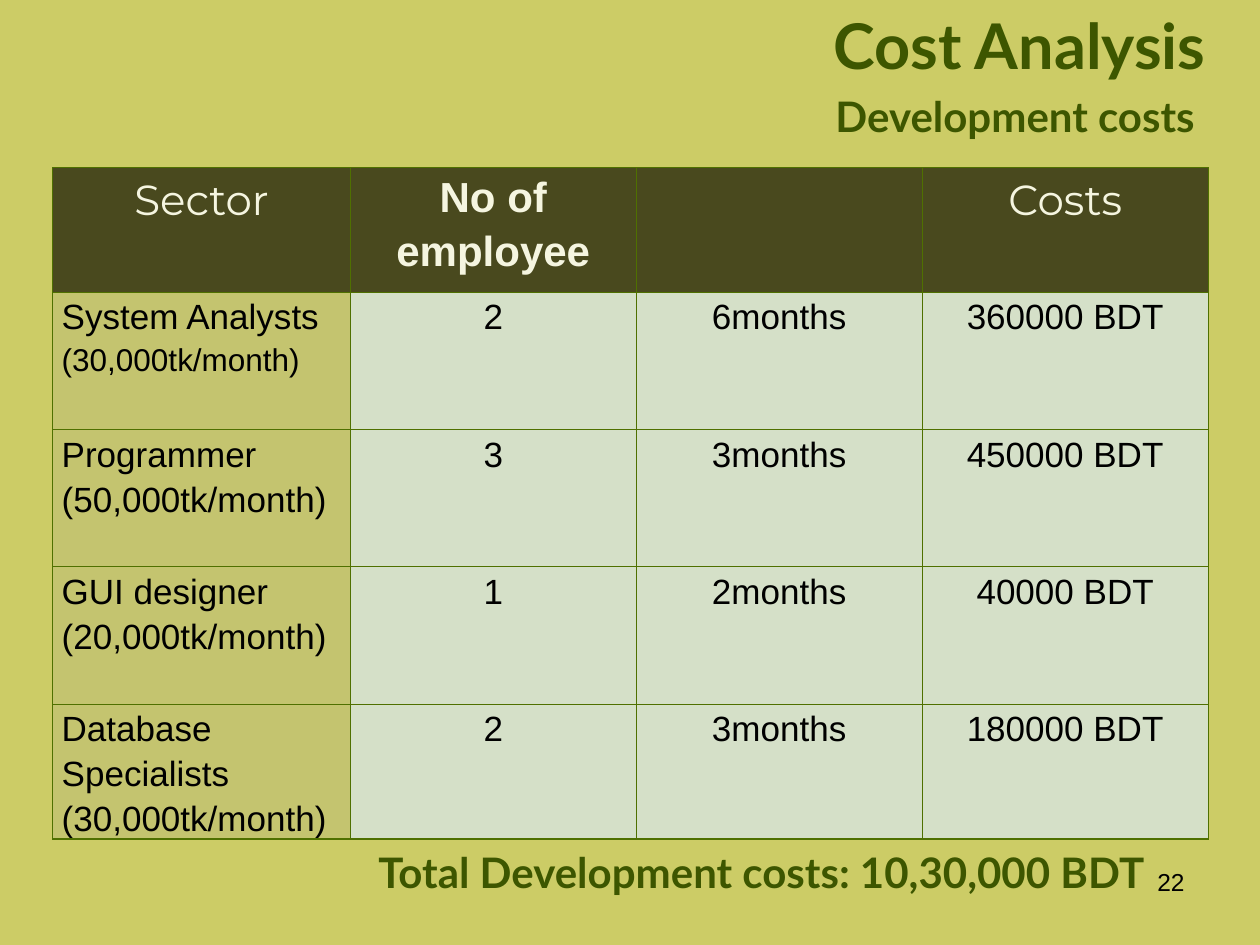
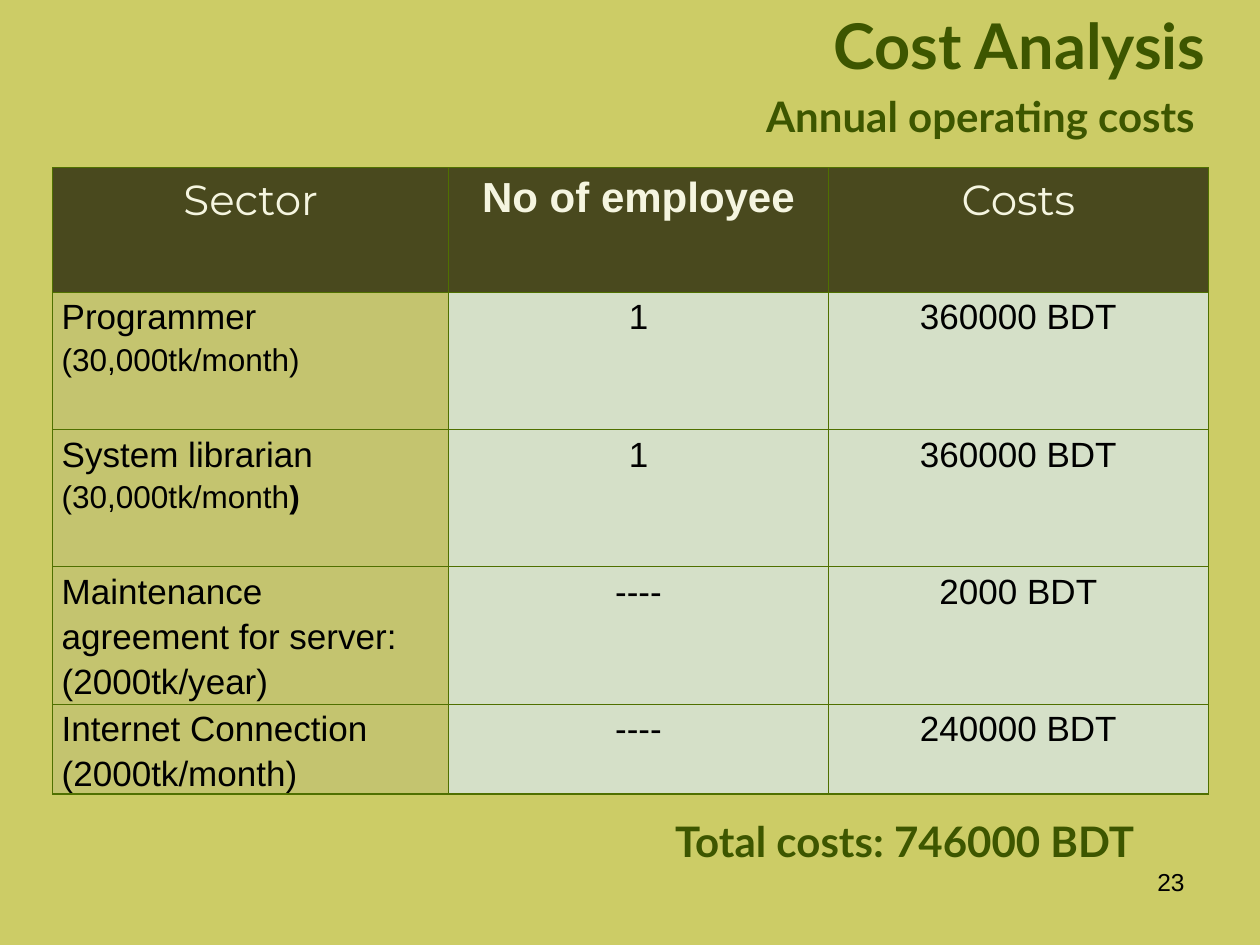
from pptx import Presentation
from pptx.dml.color import RGBColor as RGB
from pptx.enum.text import MSO_ANCHOR as ANCHOR, PP_ALIGN as AL
from pptx.oxml import parse_xml
from pptx.oxml.ns import nsdecls
from pptx.util import Inches, Pt

COLORS = {
    "background": "CCCC66",
    "heading": "3D5600",
    "header_fill": "49491E",
    "header_text": "F5F5E0",
    "sector_fill": "C4C46F",
    "value_fill": "D5E0C8",
    "border": "4F7000",
    "text": "000000",
}
HEADING = dict(size=24, font="Lato", color="heading", bold=True, align=AL.RIGHT)
CENTERED = dict(align=AL.CENTER, spacing=1.15)
TABLE_WIDTH = 9.17
ROW_HEIGHTS = [0.99, 1.09, 1.09, 1.09, 0.67]
HEADER_FONTS = {"No of employee": dict(font="Arial", bold=True)}

# Each row: sector, monthly or yearly rate, rate size, remaining columns
SLIDES = [
    dict(
        number="22",
        subtitle="Development costs",
        total="Total Development costs: 10,30,000 BDT ",
        total_box=(2.58, 6.67, 6.67, 0.5),
        sector_width=2.36,
        header=["Sector", "No of employee", "", "Costs"],
        rows=[
            ("System Analysts", "(30,000tk/month)", 18, ["2", "6months", "360000 BDT"]),
            ("Programmer", "(50,000tk/month)", 20, ["3", "3months", "450000 BDT"]),
            ("GUI designer", "(20,000tk/month)", 20, ["1", "2months", "40000 BDT"]),
            ("Database Specialists", "(30,000tk/month)", 20, ["2", "3months", "180000 BDT"]),
        ],
    ),
    dict(
        number="23",
        subtitle="Annual operating costs",
        total="Total costs: 746000 BDT ",
        total_box=(2.75, 6.42, 6.42, 0.5),
        sector_width=3.14,
        header=["Sector", "No of employee", "Costs"],
        rows=[
            ("Programmer", "(30,000tk/month)", 18, ["1", "360000 BDT"]),
            ("System librarian", "(30,000tk/month", 18, ["1", "360000 BDT"]),
            ("Maintenance agreement for server:", "(2000tk/year)", 20, ["----", "2000 BDT"]),
            ("Internet Connection", "(2000tk/month)", 20, ["----", "240000 BDT"]),
        ],
    ),
]


def add_run(p, text, size=20, font="Arial", color="text", bold=False,
            align=AL.LEFT, spacing=1.0):
    p.alignment, p.line_spacing = align, spacing
    r = p.add_run()
    r.text = text
    r.font.size, r.font.name, r.font.bold = Pt(size), font, bold
    r.font.color.rgb = RGB.from_string(COLORS[color])


def style_cell(cell, fill):
    """Set the margins, border lines and fill; lines must precede the fill."""
    cell.margin_left = cell.margin_right = Inches(0.07)
    cell.margin_top = cell.margin_bottom = 0
    tc_pr = cell._tc.get_or_add_tcPr()
    for side in "LRTB":
        tc_pr.append(parse_xml(
            f'<a:ln{side} {nsdecls("a")} w="{Pt(0.75)}"><a:solidFill>'
            f'<a:srgbClr val="{COLORS["border"]}"/></a:solidFill></a:ln{side}>'))
    cell.fill.solid()
    cell.fill.fore_color.rgb = RGB.from_string(COLORS[fill])


prs = Presentation()
prs.slide_width, prs.slide_height = Inches(10), Inches(7.5)
bg = prs.slide_master.background.fill
bg.solid()
bg.fore_color.rgb = RGB.from_string(COLORS["background"])

for data in SLIDES:
    s = prs.slides.add_slide(prs.slide_layouts[5])

    title = s.shapes.title
    title.left, title.top = Inches(2.42), Inches(0)
    title.width, title.height = Inches(7.25), Inches(0.71)
    title.text_frame.vertical_anchor = ANCHOR.TOP
    add_run(title.text_frame.paragraphs[0], "Cost Analysis", **{**HEADING, "size": 36})

    # Table
    header, rows = data["header"], data["rows"]
    frame = s.shapes.add_table(len(rows) + 1, len(header), Inches(0.42), Inches(1.33),
                               Inches(TABLE_WIDTH), Inches(sum(ROW_HEIGHTS)))
    table = frame.table
    value_width = (TABLE_WIDTH - data["sector_width"]) / (len(header) - 1)
    for i, col in enumerate(table.columns):
        col.width = Inches(value_width if i else data["sector_width"])
    for row, height in zip(table.rows, ROW_HEIGHTS):
        row.height = Inches(height)

    for i, label in enumerate(header):
        cell = table.cell(0, i)
        style_cell(cell, "header_fill")
        if label:
            fmt = HEADER_FONTS.get(label, dict(font="Montserrat"))
            add_run(cell.text_frame.paragraphs[0], label, size=24,
                    color="header_text", **fmt, **CENTERED)

    for i, (sector, rate, rate_size, values) in enumerate(rows, start=1):
        cell = table.cell(i, 0)
        style_cell(cell, "sector_fill")
        tf = cell.text_frame
        add_run(tf.paragraphs[0], sector, spacing=1.15)
        p = tf.add_paragraph()
        add_run(p, rate, size=rate_size, spacing=1.15)
        if not rate.endswith(")"):
            add_run(p, ")", size=rate_size, bold=True, spacing=1.15)
        for j, value in enumerate(values, start=1):
            cell = table.cell(i, j)
            style_cell(cell, "value_fill")
            add_run(cell.text_frame.paragraphs[0], value, **CENTERED)

    # Subtitle, total and slide number
    for text, box, fmt in [
        (data["subtitle"], (1, 0.67, 8.58, 0.5), HEADING),
        (data["total"], data["total_box"], HEADING),
        (data["number"], (7.17, 6.83, 2.33, 0.52), dict(size=14, align=AL.RIGHT)),
    ]:
        tf = s.shapes.add_textbox(*map(Inches, box)).text_frame
        tf.word_wrap = True
        add_run(tf.paragraphs[0], text, **fmt)

prs.save("out.pptx")
